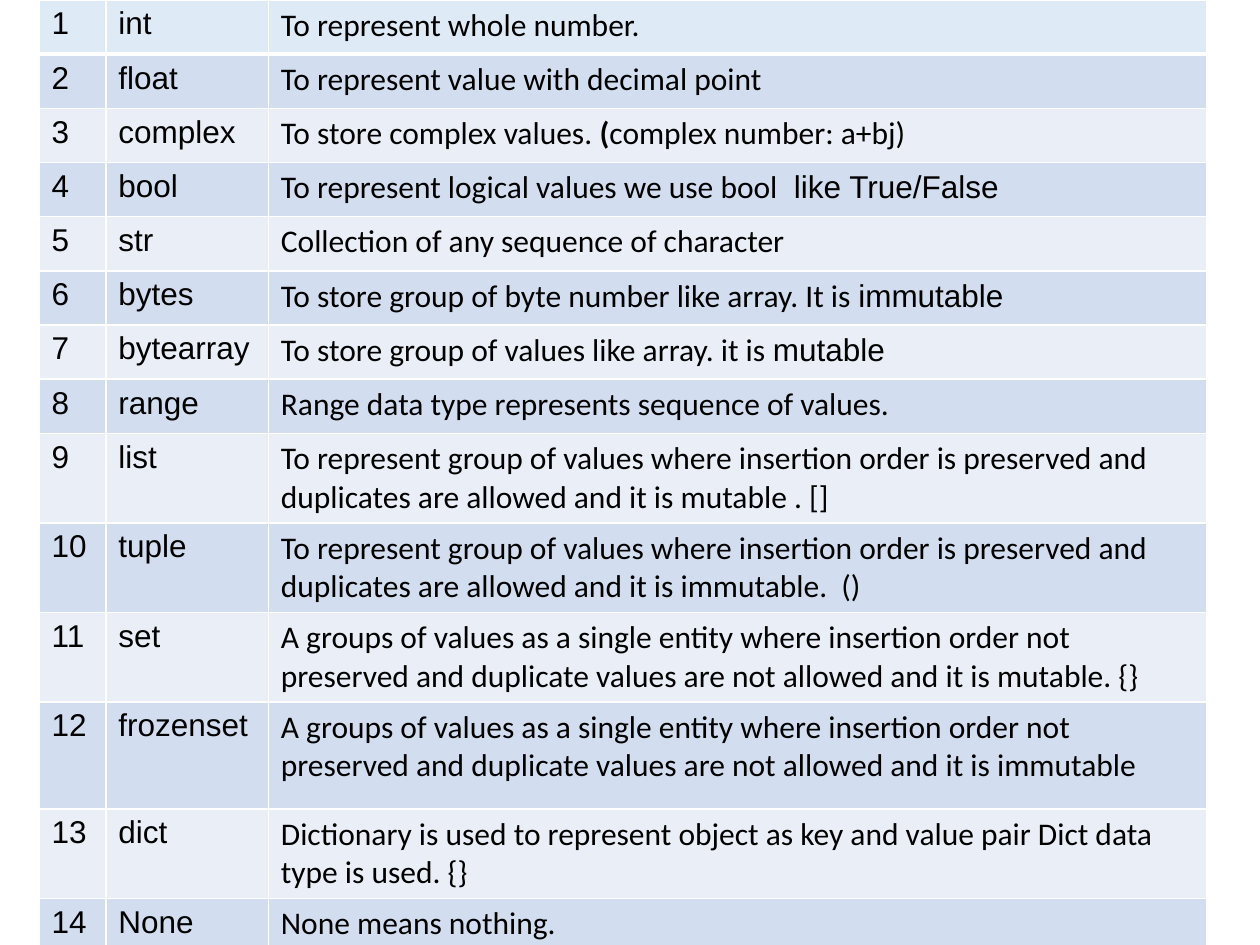
from lxml import etree
from pptx import Presentation
from pptx.dml.color import RGBColor
from pptx.oxml.ns import qn
from pptx.util import Inches, Pt

BLACK = RGBColor(0x00, 0x00, 0x00)
WHITE = RGBColor(0xFF, 0xFF, 0xFF)
FIRST = RGBColor(0xDE, 0xEB, 0xF7)
DARK = RGBColor(0xD2, 0xDE, 0xEF)
LIGHT = RGBColor(0xEA, 0xEF, 0xF7)
SANS = "Arial"
BODY = "Calibri"

WIDTHS = [0.53, 1.29, 7.45]
HEIGHTS = [0.43] * 8 + [0.7] * 3 + [0.85, 0.7, 0.4]
GROUP = "To represent group of values where insertion order is preserved and duplicates are allowed and it is "
ENTITY = ("A groups of values as a single entity where insertion order not preserved "
          "and duplicate values are not allowed and it is ")
TYPES = [
    ("int", ["To represent whole number."]),
    ("float", ["To represent value with decimal point"]),
    ("complex", ["To store complex values.", (" (", BODY, True), "complex number: a+bj)"]),
    ("bool", ["To represent logical values we use bool ", (" like True/False", SANS, False)]),
    ("str", ["Collection of any sequence of character"]),
    ("bytes", ["To store group of byte number like array. It is ", ("immutable", SANS, False)]),
    ("bytearray", ["To store group of values like array. it is ", ("mutable", SANS, False)]),
    ("range", ["Range data type represents sequence of values."]),
    ("list", [GROUP + "mutable . []"]),
    ("tuple", [GROUP + "immutable.  ()"]),
    ("set", [ENTITY + "mutable. {}"]),
    ("frozenset", [ENTITY + "immutable"]),
    ("dict", ["Dictionary is used to represent object as key and value pair Dict data type is used. {}"]),
    ("None", ["None means nothing."]),
]


def add_edges(cell, top, bottom):
    props = cell._tc.get_or_add_tcPr()
    for side, width in (("L", 1), ("R", 1), ("T", top), ("B", bottom)):
        line = etree.SubElement(props, qn("a:ln" + side), w=str(Pt(width)))
        fill = etree.SubElement(line, qn("a:solidFill"))
        etree.SubElement(fill, qn("a:srgbClr"), val=str(WHITE))


def fill_cell(cell, parts, font, color, row):
    add_edges(cell, 3 if row == 1 else 1, 3 if row == 0 else 1)
    cell.fill.solid()
    cell.fill.fore_color.rgb = color
    para = cell.text_frame.paragraphs[0]
    para.font.size = Pt(18)
    para.font.bold = False
    para.font.color.rgb = BLACK
    para.font.name = font
    for part in parts:
        text, face, bold = (part, font, False) if isinstance(part, str) else part
        run = para.add_run()
        run.text = text
        if face != font:
            run.font.name = face
        if bold:
            run.font.bold = True


def add_types(slide, left, top, width, height):
    frame = slide.shapes.add_table(len(TYPES), len(WIDTHS), left, top, width, height)
    table = frame.table
    for column, size in zip(table.columns, WIDTHS):
        column.width = int(width * size / sum(WIDTHS))
    for row, size in zip(table.rows, HEIGHTS):
        row.height = int(height * size / sum(HEIGHTS))
    for index, (name, parts) in enumerate(TYPES):
        color = FIRST if index == 0 else DARK if index % 2 else LIGHT
        fields = [([str(index + 1)], SANS), ([name], SANS), (parts, BODY)]
        for col, (words, font) in enumerate(fields):
            fill_cell(table.cell(index, col), words, font, color, index)


def main():
    deck = Presentation()
    deck.slide_width = Inches(10)
    deck.slide_height = Inches(7.5)
    slide = deck.slides.add_slide(deck.slide_layouts[6])
    add_types(slide, Inches(0.31), Inches(0), Inches(sum(WIDTHS)), Inches(sum(HEIGHTS)))
    deck.save("out.pptx")


if __name__ == "__main__":
    main()
